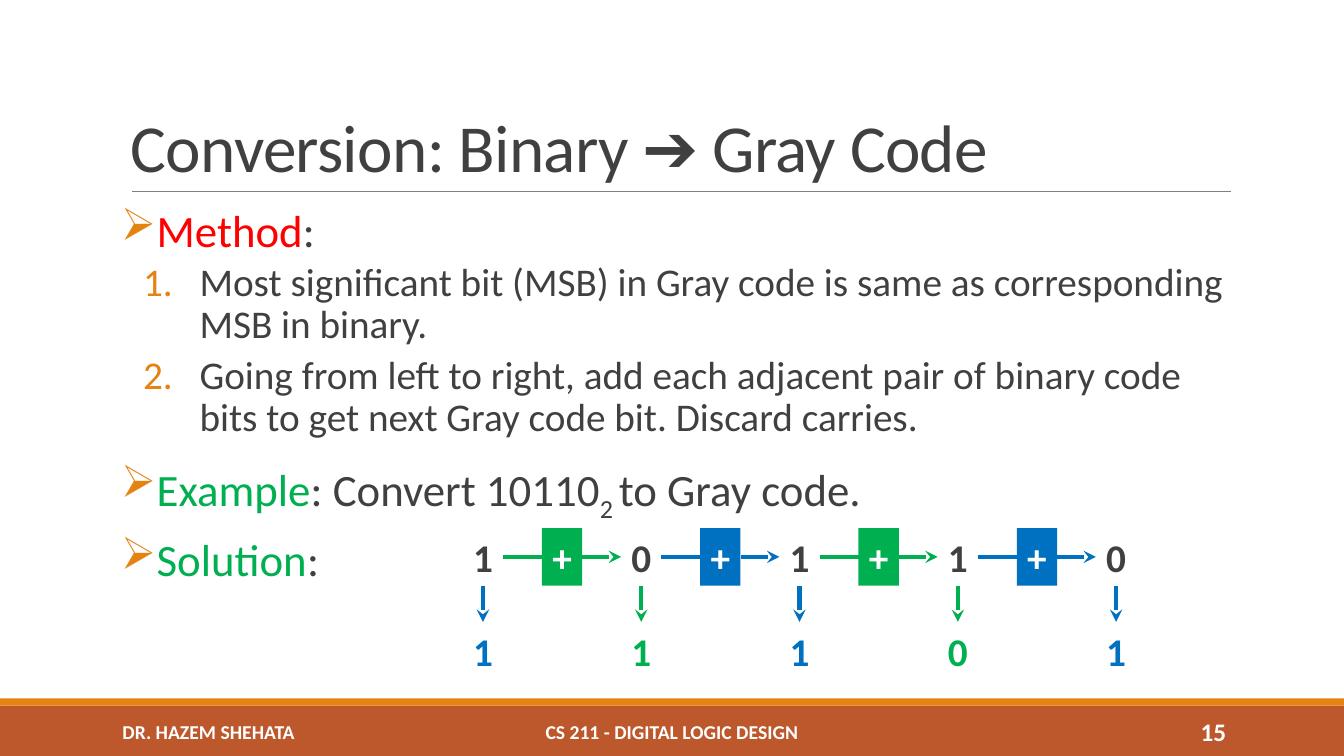
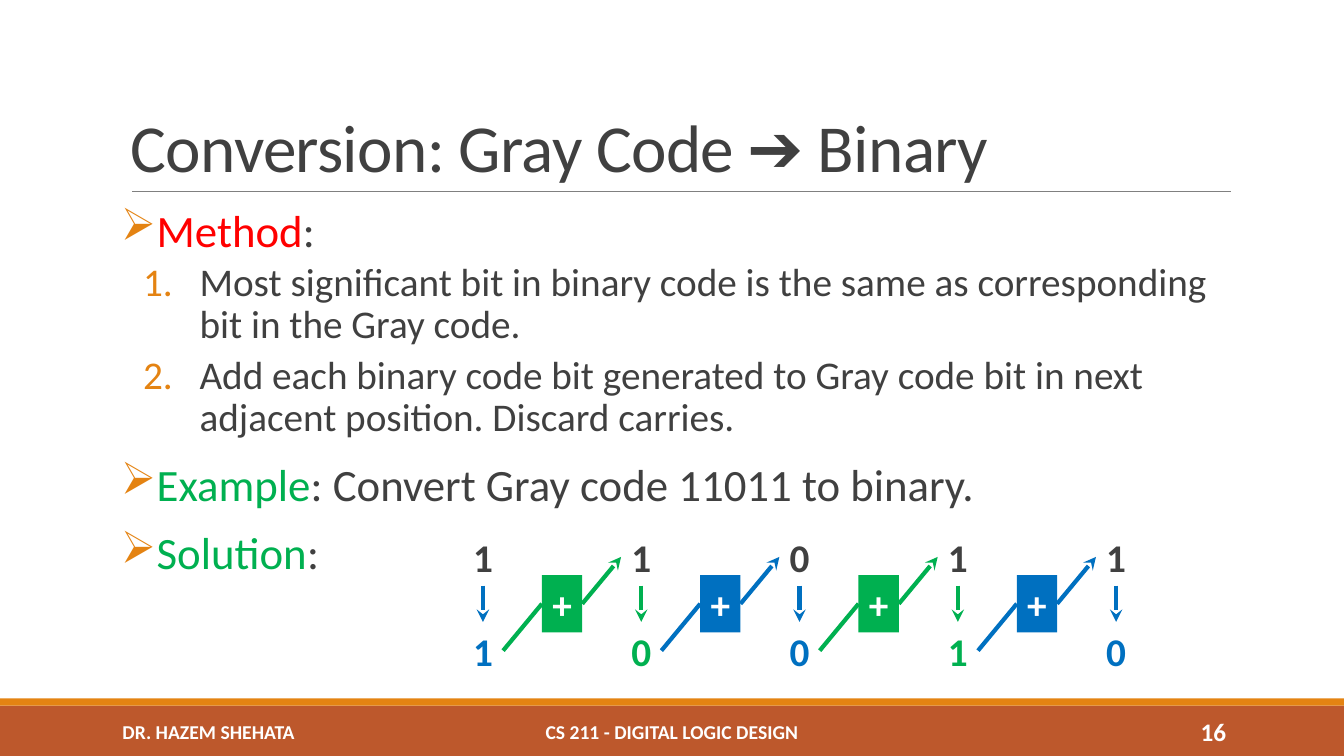
"""Build two slides on changing between binary and Gray code."""
from lxml.etree import SubElement
from pptx import Presentation
from pptx.dml.color import RGBColor
from pptx.enum.shapes import MSO_CONNECTOR, MSO_SHAPE
from pptx.enum.text import MSO_ANCHOR, PP_ALIGN
from pptx.oxml.ns import qn
from pptx.util import Inches, Pt

FONT = "Calibri"
COLORS = {"ink": "404040", "white": "FFFFFF", "red": "FF0000", "green": "00B050",
          "blue": "0070C0", "rust": "BD582C", "gold": "E48312", "gray": "808080"}
AUTHOR = "DR. HAZEM SHEHATA"
COURSE = "CS 211 - DIGITAL LOGIC DESIGN"

SLIDES = [
    {"title": "Conversion: Binary ➔ Gray Code",
     "steps": ["Most significant bit (MSB) in Gray code is same as corresponding MSB in binary.",
               "Going from left to right, add each adjacent pair of binary code bits to get "
               "next Gray code bit. Discard carries."],
     "task": [(": Convert 10110",), ("2 ", "ink", -25), ("to Gray code.",)],
     "given": "10110", "result": "11101", "slant": False, "number": "15"},
    {"title": "Conversion: Gray Code ➔ Binary",
     "steps": ["Most significant bit in binary code is the same as corresponding bit in the Gray code.",
               "Add each binary code bit generated to Gray code bit in next adjacent position. "
               "Discard carries."],
     "task": [(": Convert Gray code 11011 to binary.",)],
     "given": "11011", "result": "10010", "slant": True, "number": "16"},
]

LEFT, PITCH = 4.59, 1.57
WIDE, HIGH = 0.4, 0.57
TOP, LOW = 5.24, 6.17

POINT = {"size": 32, "lines": 0.9, "before": 12, "after": 2, "indent": (0.1, -0.1),
         "bullet": ("a:buChar", "char", "➢")}
STEP = {"size": 28, "lines": 0.9, "before": 2, "after": 4, "indent": (0.78, -0.56),
        "bullet": ("a:buAutoNum", "type", "arabicPeriod")}
FOOT = {"size": 14, "color": "white", "bold": True, "align": PP_ALIGN.CENTER}
BIT = {"size": 28, "bold": True, "align": PP_ALIGN.CENTER}


def rgb(name):
    return RGBColor.from_string(COLORS[name])


def write(frame, text, size=28, color="ink", bold=False, align=PP_ALIGN.LEFT, lines=None,
          before=0, after=0, indent=None, bullet=None, track=None):
    first = frame.paragraphs[0]
    para = frame.add_paragraph() if first.runs else first
    para.alignment = align
    para.line_spacing = lines
    para.space_before, para.space_after = Pt(before), Pt(after)
    props = para._p.get_or_add_pPr()
    if indent:
        for key, inch in zip(("marL", "indent"), indent):
            props.set(key, str(Inches(inch)))
    if bullet:
        tag, key, mark = bullet
        tint = SubElement(props, qn("a:buClr"))
        SubElement(tint, qn("a:srgbClr")).set("val", COLORS["gold"])
        SubElement(props, qn(tag)).set(key, mark)
    for part, *look in [(text,)] if isinstance(text, str) else text:
        run = para.add_run()
        run.text = part
        font = run.font
        font.name, font.size, font.bold = FONT, Pt(size), bold
        font.color.rgb = rgb(look[0] if look else color)
        marks = run._r.get_or_add_rPr()
        if track:
            marks.set("spc", str(track))
        if len(look) > 1:
            marks.set("baseline", str(look[1] * 1000))


def frame_of(shape, anchor=MSO_ANCHOR.MIDDLE, side=0.1):
    frame = shape.text_frame
    frame.word_wrap = True
    frame.vertical_anchor = anchor
    frame.margin_left = frame.margin_right = Inches(side)
    return frame


def text_box(slide, spot, anchor=MSO_ANCHOR.MIDDLE, side=0.1):
    box = slide.shapes.add_textbox(*map(Inches, spot))
    frame_of(box, anchor, side)
    return box


def block(slide, spot, color):
    shape = slide.shapes.add_shape(MSO_SHAPE.RECTANGLE, *map(Inches, spot))
    shape.shadow.inherit = False
    shape.fill.solid()
    shape.fill.fore_color.rgb = rgb(color)
    shape.line.fill.background()
    return shape


def line(slide, ends, color, width, arrow=False):
    wire = slide.shapes.add_connector(MSO_CONNECTOR.STRAIGHT, *map(Inches, ends))
    wire.line.color.rgb = rgb(color)
    wire.line.width = Pt(width)
    props = wire._element.spPr
    if arrow:
        SubElement(props.find(qn("a:ln")), qn("a:tailEnd")).set("type", "stealth")
    SubElement(props, qn("a:effectLst"))
    return wire


def link(slide, start, out, end, into, color, arrow=False):
    wire = line(slide, (0, 0, 0, 0), color, 3, arrow)
    wire.begin_connect(start, out)
    wire.end_connect(end, into)


def base(slide, title, number):
    block(slide, (0, 7, 13.33, 0.5), "rust")
    block(slide, (0, 6.93, 13.33, 0.07), "gold")
    line(slide, (1.31, 1.9, 12.21, 1.9), "gray", 0.5)
    head = text_box(slide, (1.2, 0.31, 11, 1.59), MSO_ANCHOR.BOTTOM)
    write(head.text_frame, title, size=48, lines=0.85, track=-50)
    last = {**FOOT, "size": 18, "align": PP_ALIGN.RIGHT}
    for left, width, text, style in ((0.24, 3.66, AUTHOR, FOOT), (4.03, 5.27, COURSE, FOOT),
                                     (10.83, 1.43, number, last)):
        write(text_box(slide, (left, 7.06, width, 0.4)).text_frame, text, **style)


def body(slide, steps, task):
    frame = text_box(slide, (1.2, 2.02, 11, 4.4), MSO_ANCHOR.TOP, 0).text_frame
    write(frame, [("Method", "red"), (":",)], **POINT)
    for step in steps:
        write(frame, step, **STEP)
    write(frame, [("Example", "green"), *task], **POINT)
    write(frame, [("Solution", "green"), (":",)], **POINT)


def bit(slide, left, top, text, color):
    box = text_box(slide, (left, top, WIDE, HIGH), side=0)
    write(box.text_frame, text, color=color, **BIT)
    return box


def solve(slide, given, result, slant):
    mid = (TOP + LOW) / 2 if slant else TOP
    prior = None
    for i, (upper, lower) in enumerate(zip(given, result)):
        color = ("blue", "green")[i % 2]
        left = LEFT + i * PITCH
        source = bit(slide, left, TOP, upper, "ink")
        answer = bit(slide, left, LOW, lower, color)
        link(slide, source, 2, answer, 0, color, arrow=True)
        if prior:
            plus = block(slide, (left - PITCH / 2, mid, WIDE, HIGH), color)
            write(frame_of(plus, side=0), "+", color="white", **BIT)
            link(slide, prior, 3, plus, 1, color)
            link(slide, plus, 3, source, 1, color, arrow=True)
        prior = answer if slant else source


def main():
    deck = Presentation()
    deck.slide_width, deck.slide_height = Inches(13.33), Inches(7.5)
    for item in SLIDES:
        slide = deck.slides.add_slide(deck.slide_layouts[6])
        base(slide, item["title"], item["number"])
        body(slide, item["steps"], item["task"])
        solve(slide, item["given"], item["result"], item["slant"])
    deck.save("out.pptx")


if __name__ == "__main__":
    main()
